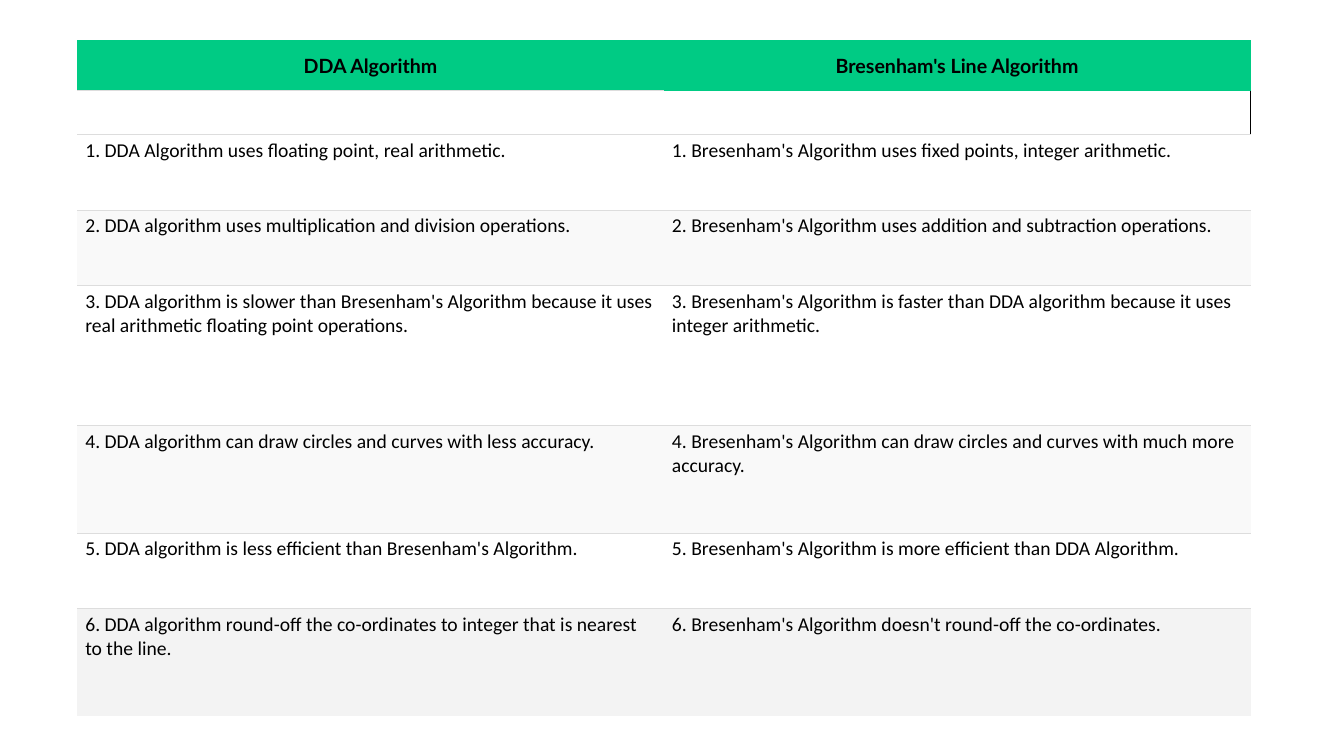
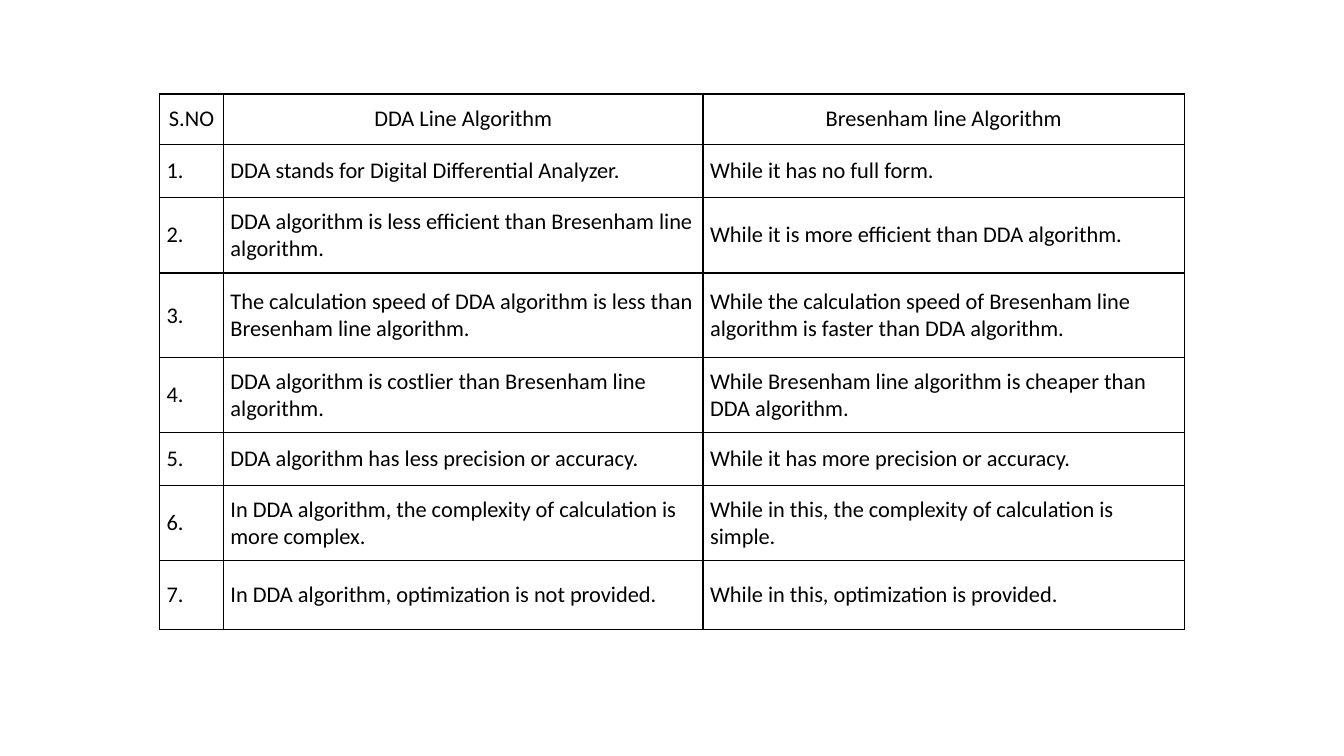
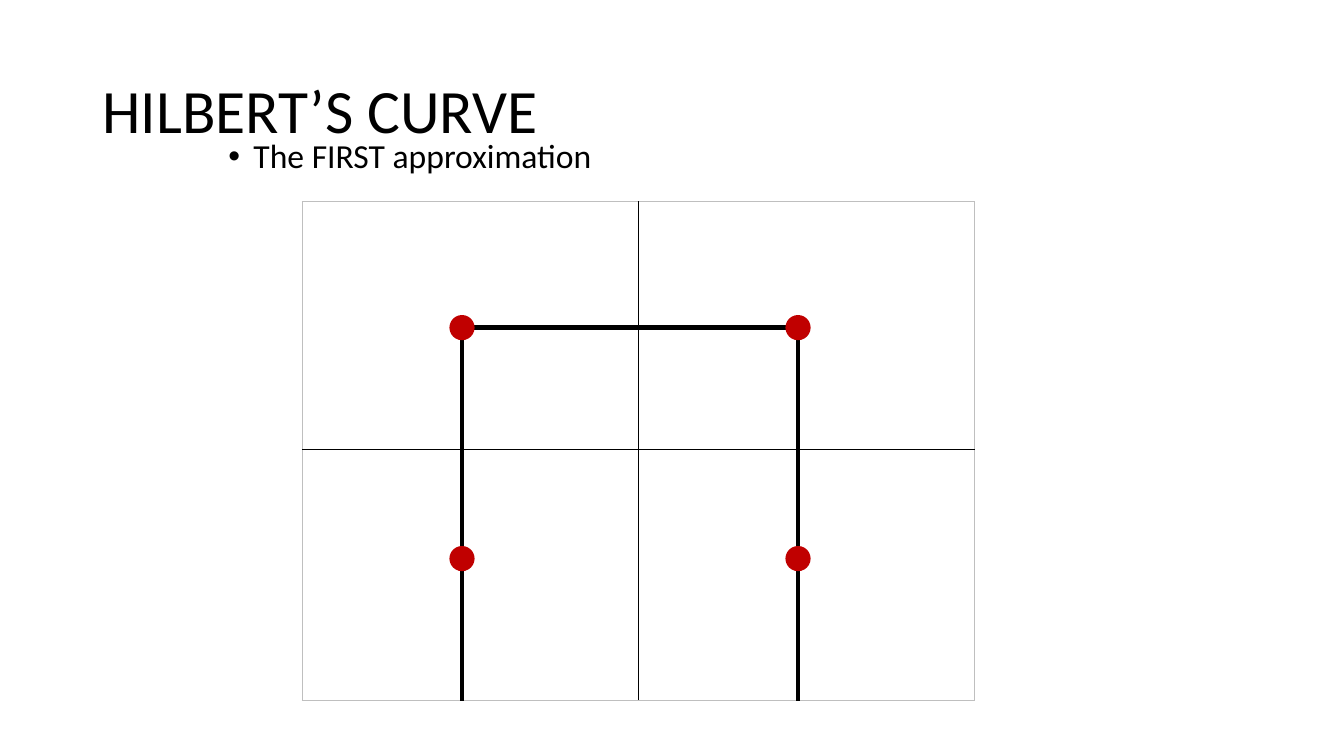
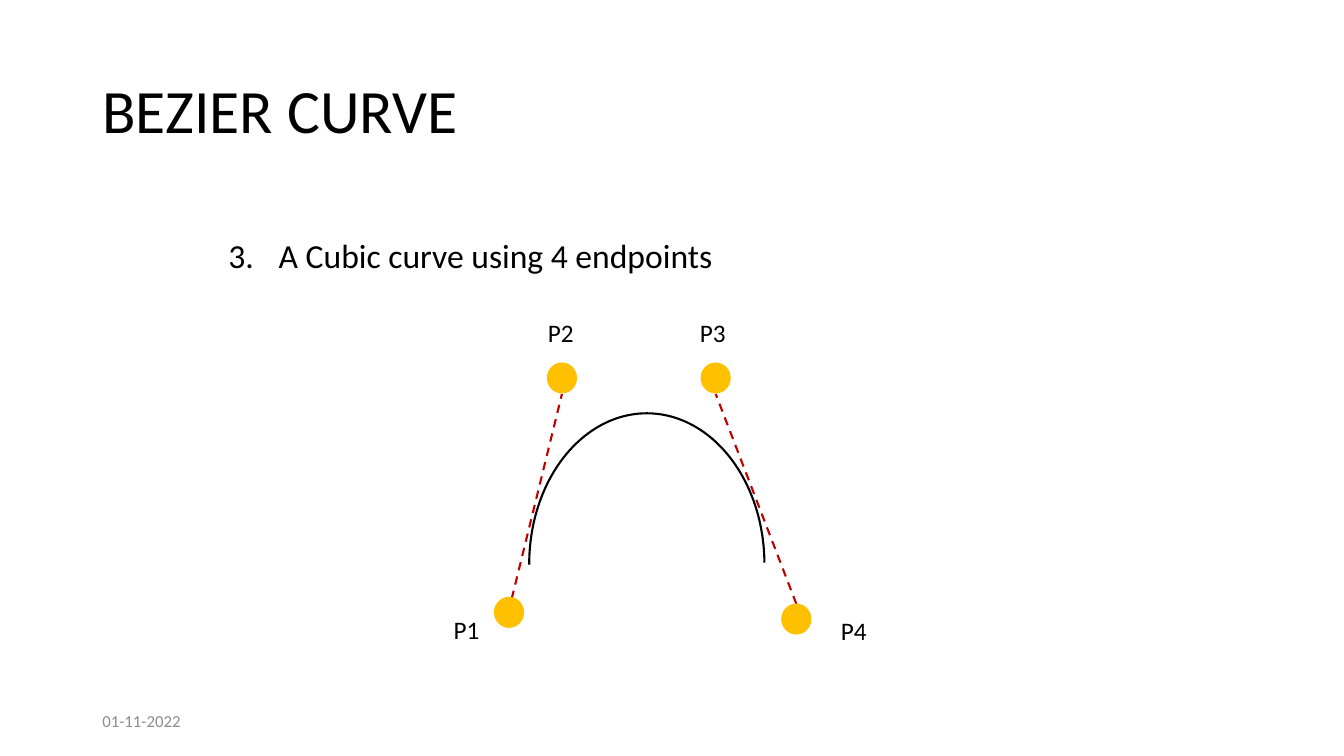
from pptx import Presentation
from pptx.dml.color import RGBColor
from pptx.enum import dml, shapes, text
from pptx.oxml import parse_xml
from pptx.oxml.ns import nsdecls, qn
from pptx.util import Emu, Inches, Pt

# Shared grid: the slide is 160 columns by 90 rows of square cells
SLIDE_WIDTH, SLIDE_HEIGHT = Inches(13.333), Inches(7.5)
UNIT = SLIDE_HEIGHT / 90
TITLE_AREA = (11, 4.8, 138, 17.4)
BODY_LEFT, BODY_WIDTH = 26, 108

# Shared colours and fonts
BLACK = RGBColor(0x00, 0x00, 0x00)
WHITE = RGBColor(0xFF, 0xFF, 0xFF)
GREEN = RGBColor(0x00, 0xCB, 0x84)
STRIPE = RGBColor(0xF9, 0xF9, 0xF9)
LAST_ROW = RGBColor(0xF3, 0xF3, 0xF3)
RULE = RGBColor(0xDD, 0xDD, 0xDD)
FRAME = RGBColor(0xBF, 0xBF, 0xBF)
RED = RGBColor(0xC0, 0x00, 0x00)
AMBER = RGBColor(0xFF, 0xC0, 0x00)
GREY = RGBColor(0x8C, 0x8C, 0x8C)
FONT, HEADER_FONT = "Calibri", "Lato"
NO_STYLE = "{2D5ABB26-0587-4C30-8999-92F81FD0307C}"

LEFT, CENTER = text.PP_ALIGN.LEFT, text.PP_ALIGN.CENTER
TOP, MIDDLE = text.MSO_ANCHOR.TOP, text.MSO_ANCHOR.MIDDLE

# Slide content
COMPARISON = [
    ("DDA Algorithm", "Bresenham's Line Algorithm"),
    ("", ""),
    ("1. DDA Algorithm uses floating point, real arithmetic.",
     "1. Bresenham's Algorithm uses fixed points, integer arithmetic."),
    ("2. DDA algorithm uses multiplication and division operations.",
     "2. Bresenham's Algorithm uses addition and subtraction operations."),
    ("3. DDA algorithm is slower than Bresenham's Algorithm because it uses "
     "real arithmetic floating point operations.",
     "3. Bresenham's Algorithm is faster than DDA algorithm because it uses "
     "integer arithmetic."),
    ("4. DDA algorithm can draw circles and curves with less accuracy.",
     "4. Bresenham's Algorithm can draw circles and curves with much more accuracy."),
    ("5. DDA algorithm is less efficient than Bresenham's Algorithm.",
     "5. Bresenham's Algorithm is more efficient than DDA Algorithm."),
    ("6. DDA algorithm round-off the co-ordinates to integer that is nearest "
     "to the line.",
     "6. Bresenham's Algorithm doesn't round-off the co-ordinates."),
]
DIFFERENCES = [
    ("DDA Line Algorithm", "Bresenham line Algorithm"),
    ("DDA stands for Digital Differential Analyzer.", "While it has no full form."),
    ("DDA algorithm is less efficient than Bresenham line algorithm.",
     "While it is more efficient than DDA algorithm."),
    ("The calculation speed of DDA algorithm is less than Bresenham line algorithm.",
     "While the calculation speed of Bresenham line algorithm is faster than "
     "DDA algorithm."),
    ("DDA algorithm is costlier than Bresenham line algorithm.",
     "While Bresenham line algorithm is cheaper than DDA algorithm."),
    ("DDA algorithm has less precision or accuracy.",
     "While it has more precision or accuracy."),
    ("In DDA algorithm, the complexity of calculation is more complex.",
     "While in this, the complexity of calculation is simple."),
    ("In DDA algorithm, optimization is not provided.",
     "While in this, optimization is provided."),
]


def grid(*cells):
    return [Emu(round(cell * UNIT)) for cell in cells]


# Text
def add_span(para, words, size, color=BLACK, font=FONT, bold=False):
    span = para.add_run()
    span.text = words
    span.font.size, span.font.name, span.font.bold = Pt(size), font, bold
    span.font.color.rgb = color


def add_text(page, area, words, size, color=BLACK, anchor=TOP, align=LEFT, spacing=1.0):
    box = page.shapes.add_textbox(*grid(*area))
    box.text_frame.word_wrap = True
    box.text_frame.vertical_anchor = anchor
    para = box.text_frame.paragraphs[0]
    para.alignment, para.line_spacing = align, spacing
    add_span(para, words, size, color)
    return para


def add_title(page, words):
    add_text(page, TITLE_AREA, words, 44, anchor=MIDDLE, spacing=0.9)


def add_item(page, top, words, marker, indent, spacing):
    """Add one body line led by a bullet or number element."""
    para = add_text(page, (BODY_LEFT, top, BODY_WIDTH, 84 - top), words, 24,
                    align=text.PP_ALIGN.JUSTIFY, spacing=spacing)
    properties = para._p.get_or_add_pPr()
    properties.set("marL", str(Inches(indent)))
    properties.set("indent", str(-Inches(indent)))
    properties.append(parse_xml(f'<a:buFont {nsdecls("a")} typeface="Arial"/>'
                                if "buChar" in marker else
                                f'<a:buFont {nsdecls("a")} typeface="+mj-lt"/>'))
    properties.append(parse_xml(f'<a:{marker} {nsdecls("a")}/>'.replace("  ", " ")
                                if "xmlns" in marker else
                                f'<a:{marker.split()[0]} {nsdecls("a")} '
                                f'{marker.partition(" ")[2]}/>'))


# Tables
def add_table(page, left, top, columns, rows):
    frame = page.shapes.add_table(len(rows), len(columns),
                                  *grid(left, top, sum(columns), sum(rows)))
    table = frame.table
    table.first_row = table.horz_banding = False
    table._tbl.tblPr.find(qn("a:tableStyleId")).text = NO_STYLE
    for column, width in zip(table.columns, grid(*columns)):
        column.width = width
    for row, height in zip(table.rows, grid(*rows)):
        row.height = height
    return table


def set_borders(cell, sides, color, width=1.0):
    """Draw the named sides, given in the order L, R, T, B."""
    properties = cell._tc.get_or_add_tcPr()
    for side in sides:
        properties.append(parse_xml(
            f'<a:ln{side} {nsdecls("a")} w="{Pt(width)}"><a:solidFill>'
            f'<a:srgbClr val="{color}"/></a:solidFill></a:ln{side}>'))


def fill_cell(cell, words, size, margins, anchor=TOP, align=LEFT, **style):
    cell.margin_left = cell.margin_right = Inches(margins[0])
    cell.margin_top = cell.margin_bottom = Inches(margins[1])
    cell.vertical_anchor = anchor
    para = cell.text_frame.paragraphs[0]
    para.alignment = align
    add_span(para, words, size, **style)


# Drawing
def add_line(page, start, end, color, width, dashed=False):
    line = page.shapes.add_connector(shapes.MSO_CONNECTOR.STRAIGHT, *grid(*start, *end))
    line.line.color.rgb, line.line.width = color, Pt(width)
    if dashed:
        line.line.dash_style = dml.MSO_LINE.DASH
    line._element.spPr.append(parse_xml(f'<a:effectLst {nsdecls("a")}/>'))


def add_dot(page, center, width, height, color):
    x, y = center
    dot = page.shapes.add_shape(shapes.MSO_SHAPE.OVAL,
                                *grid(x - width / 2, y - height / 2, width, height))
    dot.shadow.inherit = False
    dot.fill.solid()
    dot.fill.fore_color.rgb = color
    dot.line.fill.background()


# Slides
def build_comparison(page):
    table = add_table(page, 9.2, 4.8, [69.84] * 2, [6, 5.2, 9, 9, 16.7, 12.8, 9, 12.8])
    fills = [GREEN, WHITE, WHITE, STRIPE, WHITE, STRIPE, WHITE, LAST_ROW]
    for row, (words, fill) in enumerate(zip(COMPARISON, fills)):
        for column, sentence in enumerate(words):
            cell = table.cell(row, column)
            if (row, column) == (1, 1):
                set_borders(cell, "R", BLACK)
            if row > 1:
                set_borders(cell, "T", RULE, 0.75)
            if 0 < row < len(fills) - 1 or (row, column) == (0, 0):
                set_borders(cell, "B", RULE, 0.75)
            cell.fill.solid()
            cell.fill.fore_color.rgb = fill
            if row == 0:
                fill_cell(cell, sentence, 14, (0.06, 0.06), MIDDLE, CENTER,
                          font=HEADER_FONT, bold=True)
            elif sentence:
                fill_cell(cell, sentence, 14, (0.08, 0.04))


def build_differences(page):
    table = add_table(page, 19, 11.2, [7.6, 57.1, 57.3],
                      [6, 6.3, 9, 10.1, 8.9, 6.3, 8.9, 8.2])
    for row, words in enumerate(DIFFERENCES):
        number = f"{row}." if row else "S.NO"
        for column, sentence in enumerate((number, *words)):
            cell = table.cell(row, column)
            set_borders(cell, "LRTB", BLACK)
            cell.fill.background()
            fill_cell(cell, sentence, 16, (0.07, 0.1 if row else 0.07), MIDDLE,
                      LEFT if row else CENTER)


def build_hilbert(page):
    add_title(page, "HILBERT’S CURVE")
    add_item(page, 16, "The FIRST approximation", 'buChar char="•"', 0.25, 0.9)

    # Four quadrants with a light frame and a dark cross
    table = add_table(page, 36, 24, [40, 40], [29.5, 29.9])
    for row in range(2):
        for column in range(2):
            cell = table.cell(row, column)
            inner = ("R" if column == 0 else "L", "B" if row == 0 else "T")
            for side in "LRTB":
                set_borders(cell, side, BLACK if side in inner else FRAME)
            cell.fill.background()

    # Curve through the quadrant centres
    left, right, top, middle, bottom = 55, 95, 39, 66.5, 83.4
    for x in (left, right):
        add_line(page, (x, bottom), (x, top), BLACK, 3)
    add_line(page, (left, top), (right, top), BLACK, 3)
    for x in (left, right):
        for y in (top, middle):
            add_dot(page, (x, y), 3, 3, RED)


def build_bezier(page):
    add_title(page, "BEZIER CURVE")
    add_item(page, 25, "A Cubic curve using 4 endpoints",
             'buAutoNum type="arabicPeriod" startAt="3"', 0.5, 1.5)
    add_text(page, (11, 83.4, 36, 4.8), "01-11-2022", 12, GREY, MIDDLE)

    # Control lines, then points with their labels
    add_line(page, (60.5, 73), (66.9, 46.9), RED, 1.5, dashed=True)
    add_line(page, (94.8, 71.9), (85.2, 46.9), RED, 1.5, dashed=True)
    points = [("P1", (60.6, 72.9), (51.1, 72.6)), ("P2", (66.9, 45), (62.3, 37.2)),
              ("P3", (85.2, 45), (80.4, 37.2)), ("P4", (94.8, 73.7), (97.2, 72.7))]
    for name, center, corner in points:
        add_dot(page, center, 3.6, 3.7, AMBER)
        add_text(page, (*corner, 8.9, 4.8), name, 18, align=CENTER)

    # Upper half of an ellipse
    curve = page.shapes.add_shape(shapes.MSO_SHAPE.ARC, *grid(63, 49.2, 28, 35.9))
    curve.shadow.inherit = False
    curve.adjustments[0], curve.adjustments[1] = 107.84, 215.61
    curve.fill.background()
    curve.line.color.rgb, curve.line.width = BLACK, Pt(1.5)


def main():
    deck = Presentation()
    deck.slide_width, deck.slide_height = SLIDE_WIDTH, SLIDE_HEIGHT
    for build in (build_comparison, build_differences, build_hilbert, build_bezier):
        build(deck.slides.add_slide(deck.slide_layouts[6]))
    deck.save("out.pptx")


if __name__ == "__main__":
    main()
